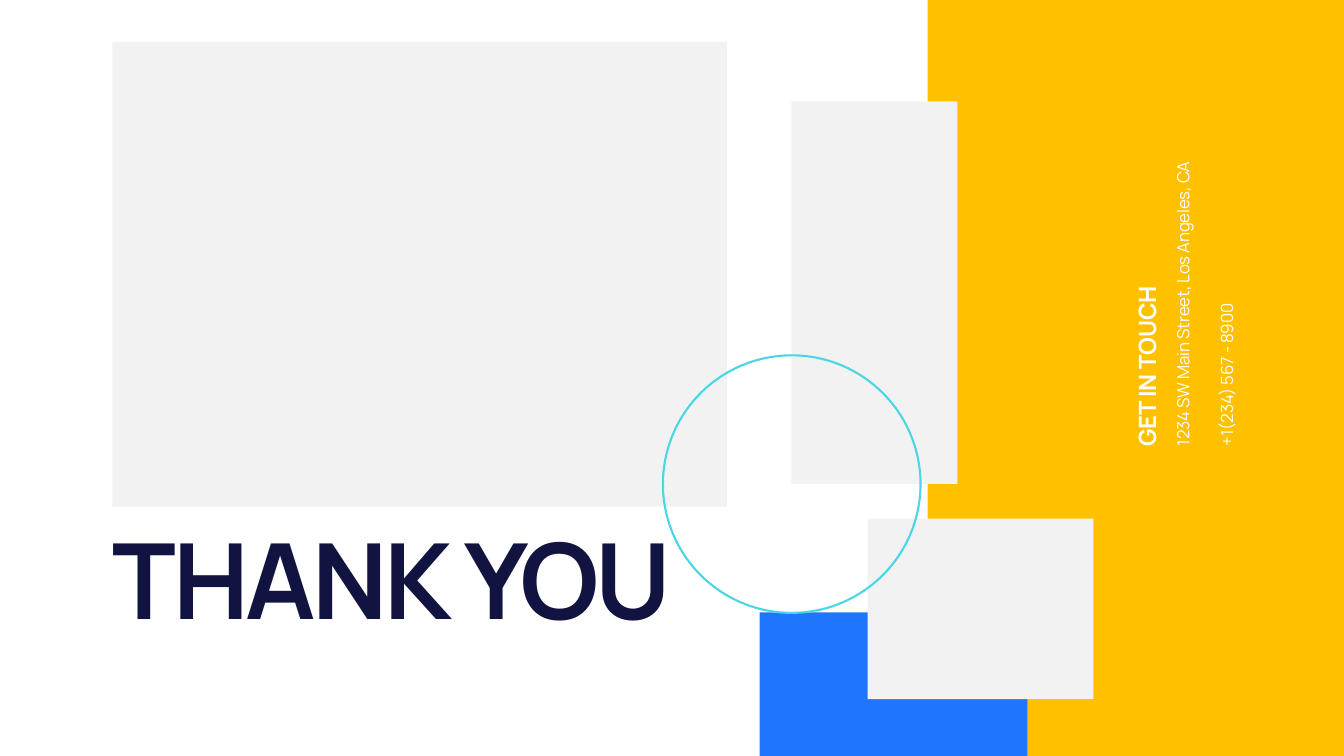
from pptx import Presentation
from pptx.dml.color import RGBColor
from pptx.enum.shapes import MSO_SHAPE as Shape
from pptx.enum.text import MSO_ANCHOR as Anchor, MSO_AUTO_SIZE as AutoSize
from pptx.util import Inches, Pt

AMBER = RGBColor(0xFF, 0xC0, 0x00)
BLUE = RGBColor(0x20, 0x75, 0xFD)
GREY = RGBColor(0xF2, 0xF2, 0xF2)
CYAN = RGBColor(0x4B, 0xD6, 0xE5)
NAVY = RGBColor(0x11, 0x13, 0x40)
WHITE = RGBColor(0xFF, 0xFF, 0xFF)


class Canvas:
    """Draws styled blocks, rings and text on the current slide."""

    font_name = "Manrope"

    def __init__(self, page):
        self.page = page

    def block(self, left, top, width, height, color):
        block = self.page.shapes.add_shape(
            Shape.RECTANGLE, *map(Inches, (left, top, width, height)))
        block.shadow.inherit = False
        block.fill.solid()
        block.fill.fore_color.rgb = color
        block.line.fill.background()

    def ring(self, left, top, diameter, color, weight):
        ring = self.page.shapes.add_shape(
            Shape.OVAL, *map(Inches, (left, top, diameter, diameter)))
        ring.shadow.inherit = False
        ring.fill.background()
        ring.line.color.rgb = color
        ring.line.width = Pt(weight)

    def text(self, words, left, top, width, height, size, color, tracking,
             bold=False, rotation=0, anchor=Anchor.TOP, leading=None):
        box = self.page.shapes.add_textbox(
            *map(Inches, (left, top, width, height)))
        box.rotation = rotation
        frame = box.text_frame
        frame.text = words
        frame.word_wrap = True
        frame.auto_size = AutoSize.SHAPE_TO_FIT_TEXT
        frame.vertical_anchor = anchor
        para = frame.paragraphs[0]
        if leading:
            para.line_spacing = Pt(leading)
        span = para.runs[0]
        span.font.name = self.font_name
        span.font.size = Pt(size)
        span.font.bold = bold
        span.font.color.rgb = color
        span._r.get_or_add_rPr().set("spc", str(round(tracking * 100)))


def main():
    deck = Presentation()
    deck.slide_width, deck.slide_height = Inches(26.66), Inches(15)
    canvas = Canvas(deck.slides.add_slide(deck.slide_layouts[6]))

    canvas.block(18.4, 0, 8.26, 15, AMBER)
    canvas.block(15.07, 12.15, 5.31, 2.85, BLUE)
    for frame in ((2.23, 0.83, 12.19, 9.22),
                  (17.21, 10.29, 4.48, 3.58),
                  (15.7, 2.01, 3.29, 7.59)):
        canvas.block(*frame, GREY)
    canvas.ring(13.15, 7.05, 5.11, CYAN, 3)

    canvas.text("THANK YOU", 2.14, 10.15, 13.35, 2.63, 150, NAVY, -5, bold=True)
    canvas.text("GET IN TOUCH", 19.63, 5.51, 6.22, 0.67, 34, WHITE, -0.3,
                bold=True, rotation=270, anchor=Anchor.BOTTOM)
    for left, words in ((20.29, "1234 SW Main Street, Los Angeles, CA"),
                        (21.16, "+1(234) 567 - 8900")):
        canvas.text(words, left, 5.55, 6.22, 0.58, 24, WHITE, -0.2,
                    rotation=270, leading=36)

    deck.save("out.pptx")


if __name__ == "__main__":
    main()
